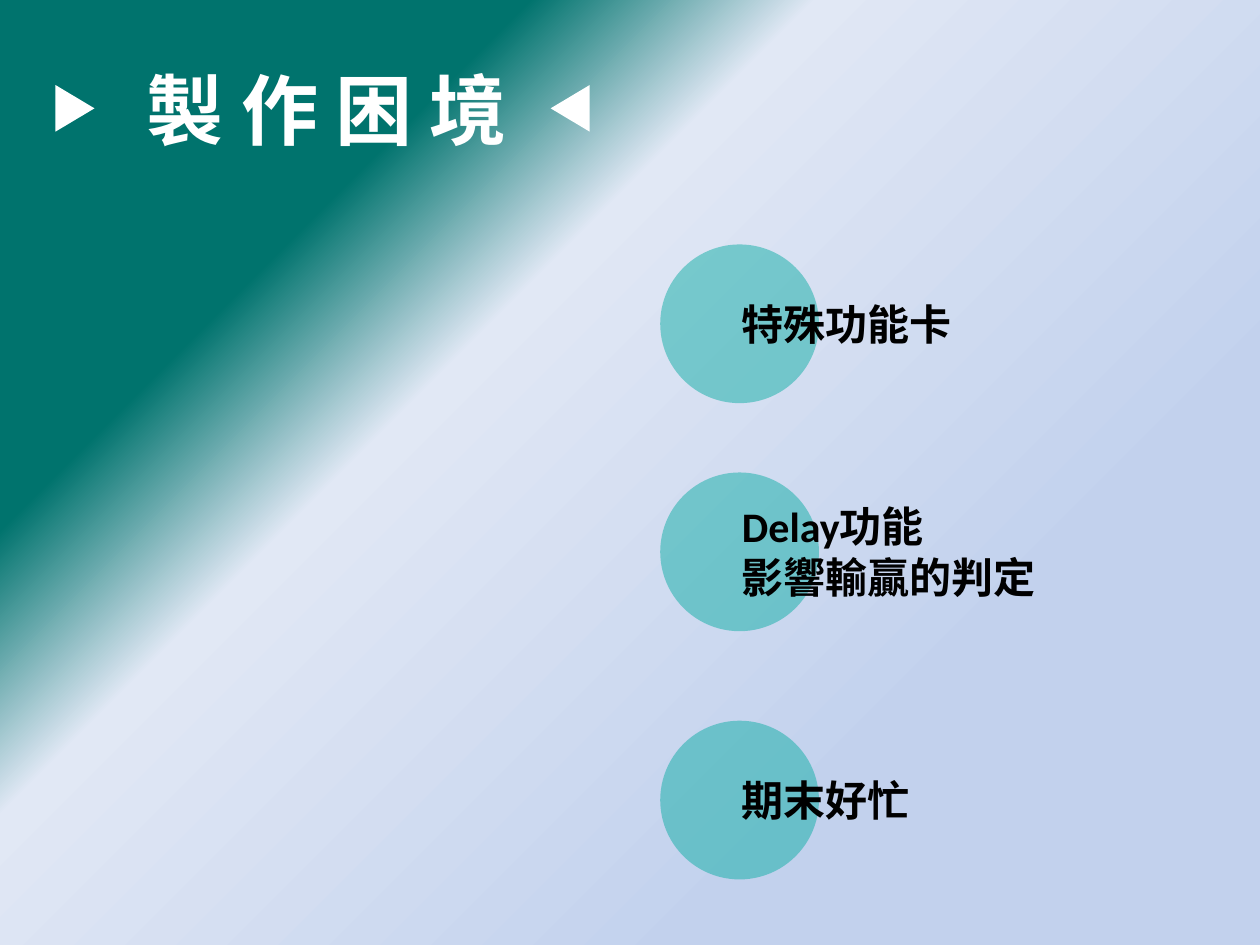
import dataclasses

import lxml.etree
import pptx
import pptx.dml.color
import pptx.enum.shapes
import pptx.enum.text
import pptx.oxml
import pptx.oxml.ns
import pptx.util

SHAPE = pptx.enum.shapes.MSO_SHAPE
ALIGN = pptx.enum.text.PP_ALIGN
FONT = "Calibri"
WHITE, BLACK, TEAL, DOT = "FFFFFF", "000000", "00736D", "10AEA6"
inch = pptx.util.Inches


@dataclasses.dataclass
class Problem:
    """One difficulty: its lines and the vertical centre of its row."""
    lines: list[str]
    middle: float
    height: float


PROBLEMS = [
    Problem(["特殊功能卡"], 2.57, 0.5),
    Problem(["Delay功能", "影響輸贏的判定"], 4.38, 0.91),
    Problem(["期末好忙"], 6.35, 0.5),
]
DOT_LEFT, DOT_SIZE = 5.24, 1.26
LABEL_LEFT, LABEL_WIDTH = 5.79, 3.07
TITLE_MIDDLE = 0.86


def rgb(color: str):
    return pptx.dml.color.RGBColor.from_string(color)


def paint_background(s, stops: list[tuple[int, str, int]]) -> None:
    """Gradient spreading from the bottom right corner; stops are (position, colour, opacity)."""
    fill = s.background.fill
    fill.gradient()
    stop_xml = "".join(
        f'<a:gs pos="{pos * 1000}"><a:srgbClr val="{color}">'
        f'<a:alpha val="{opacity * 1000}"/></a:srgbClr></a:gs>'
        for pos, color, opacity in stops)
    new = pptx.oxml.parse_xml(
        f'<a:gradFill {pptx.oxml.ns.nsdecls("a")} rotWithShape="1"><a:gsLst>{stop_xml}</a:gsLst>'
        '<a:path path="circle"><a:fillToRect l="100000" t="100000"/></a:path>'
        '<a:tileRect r="-100000" b="-100000"/></a:gradFill>')
    old = s.background._cSld.find(".//" + pptx.oxml.ns.qn("a:gradFill"))
    old.getparent().replace(old, new)


def add_mark(s, kind, left: float, middle: float, width: float, height: float,
             color: str, rotation: int = 0, opacity: int = 100) -> None:
    """Plain shape centred on a row."""
    sp = s.shapes.add_shape(kind, inch(left), inch(middle - height / 2), inch(width), inch(height))
    sp.rotation = rotation
    sp.shadow.inherit = False
    sp.line.fill.background()
    sp.fill.solid()
    sp.fill.fore_color.rgb = rgb(color)
    if opacity < 100:
        clr = sp.fill._xPr.find(".//" + pptx.oxml.ns.qn("a:srgbClr"))
        lxml.etree.SubElement(clr, pptx.oxml.ns.qn("a:alpha"), val=str(opacity * 1000))


def write(sp, lines: list[str], left: float, middle: float, width: float, height: float,
          size: int, color: str, align) -> None:
    """Place a text shape centred on a row and fill it with bold lines."""
    sp.left, sp.top = inch(left), inch(middle - height / 2)
    sp.width, sp.height = inch(width), inch(height)
    tf = sp.text_frame
    tf.word_wrap = True
    tf.auto_size = pptx.enum.text.MSO_AUTO_SIZE.SHAPE_TO_FIT_TEXT
    tf.text = "\n".join(lines)
    for p in tf.paragraphs:
        p.alignment = align
        p.font.name, p.font.size, p.font.bold = FONT, pptx.util.Pt(size), True
        p.font.color.rgb = rgb(color)


def main() -> None:
    prs = pptx.Presentation()
    prs.slide_width, prs.slide_height = inch(10), inch(7.5)
    s = prs.slides.add_slide(prs.slide_layouts[5])
    paint_background(s, [(26, "C2D1ED", 100), (63, "E1E8F5", 100), (76, TEAL, 80)])

    # Title between two triangles pointing inwards
    write(s.shapes.title, ["製 作 困 境"], 0.98, TITLE_MIDDLE, 3.23, 0.84, 44, WHITE, ALIGN.CENTER)
    for left, rotation in ((0.41, 90), (4.34, 270)):
        add_mark(s, SHAPE.ISOSCELES_TRIANGLE, left, TITLE_MIDDLE, 0.37, 0.31, WHITE, rotation)

    # Problems, each on a half-transparent dot
    for item in PROBLEMS:
        add_mark(s, SHAPE.OVAL, DOT_LEFT, item.middle, DOT_SIZE, DOT_SIZE, DOT, opacity=50)
        write(s.shapes.add_textbox(0, 0, 0, 0), item.lines, LABEL_LEFT, item.middle,
              LABEL_WIDTH, item.height, 24, BLACK, ALIGN.LEFT)

    prs.save("out.pptx")


if __name__ == "__main__":
    main()
